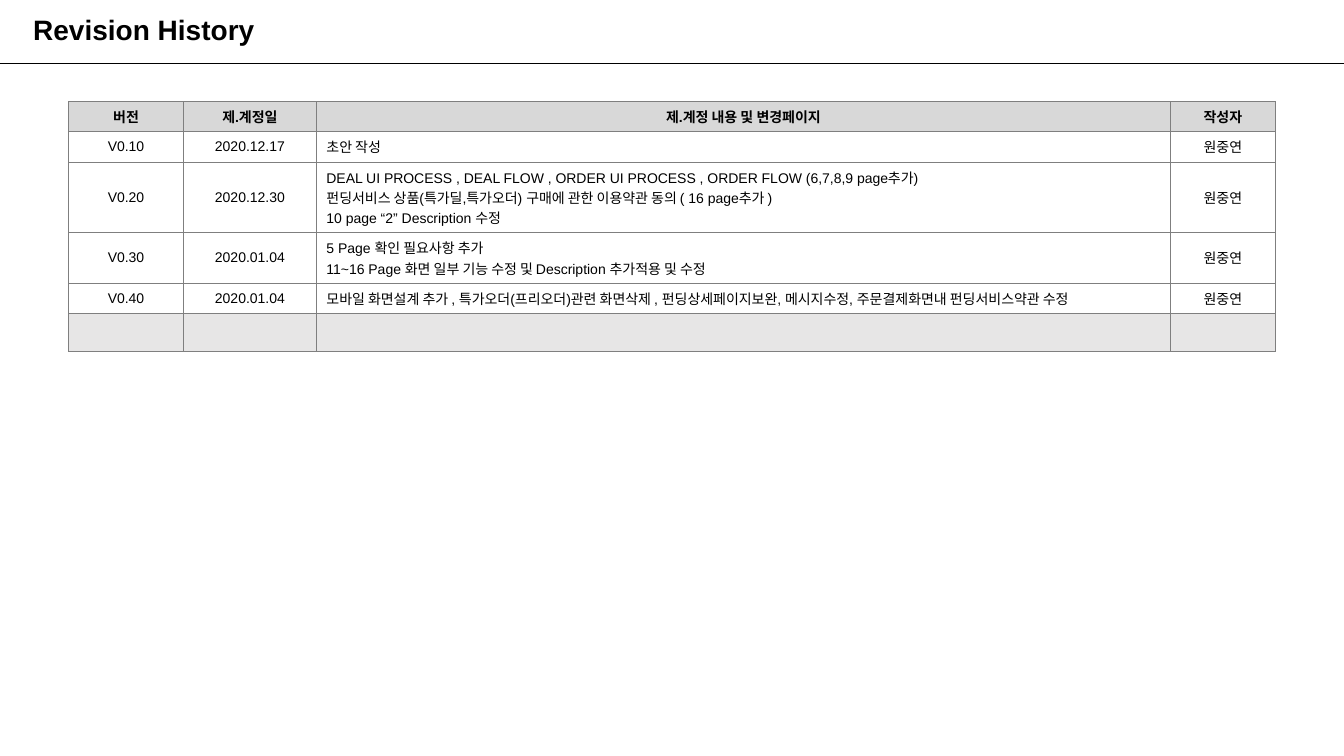
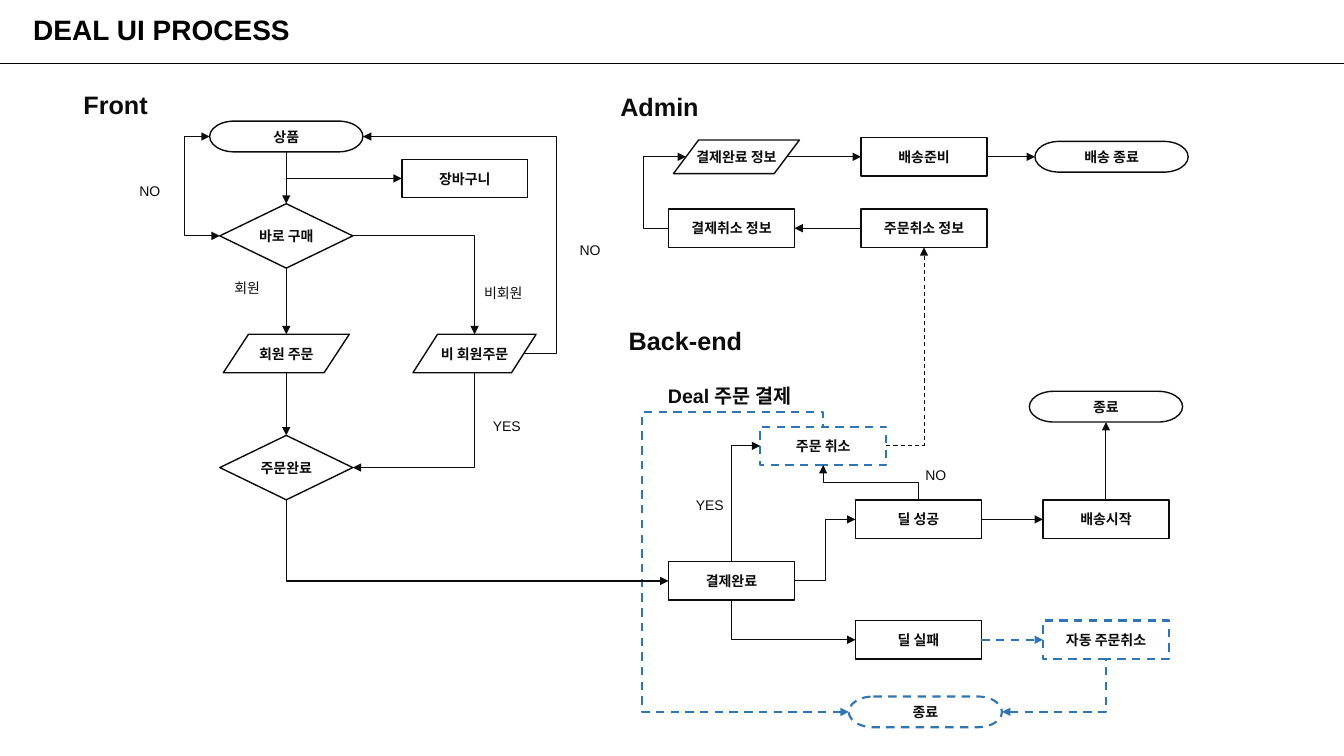
from lxml.etree import SubElement
from pptx import Presentation
from pptx.dml.color import RGBColor
from pptx.enum.dml import MSO_LINE
from pptx.enum.shapes import MSO_CONNECTOR, MSO_SHAPE
from pptx.enum.text import MSO_ANCHOR, PP_ALIGN
from pptx.oxml.ns import qn
from pptx.util import Pt

BLACK = RGBColor(0x00, 0x00, 0x00)
INK = RGBColor(0x0C, 0x0C, 0x0C)
BLUE = RGBColor(0x2E, 0x75, 0xB5)
WHITE = RGBColor(0xFF, 0xFF, 0xFF)
HEAD = RGBColor(0xD8, 0xD8, 0xD8)
FOOT = RGBColor(0xE7, 0xE6, 0xE6)
EDGE = RGBColor(0x7F, 0x7F, 0x7F)
FONT = "Arial"
WIDE, HIGH = 960, 540

# Shape kinds with their usual width and height
RECT = MSO_SHAPE.RECTANGLE, 90, 27.5
PILL = MSO_SHAPE.FLOWCHART_TERMINATOR, 109.5, 22
DIAMOND = MSO_SHAPE.FLOWCHART_DECISION, 95, 46
SLANT = MSO_SHAPE.FLOWCHART_DATA, 90, 27.5

# Connection sides, and the matching site and inward step on a slanted box
TOP, LEFT, BOTTOM, RIGHT = range(4)
SLANTED = {TOP: (1, 0), LEFT: (2, 0.1), BOTTOM: (4, 0), RIGHT: (5, -0.1)}

# Line looks: colour, width, dash
THIN = INK, 0.75, None
DOTTED = INK, 0.75, MSO_LINE.DASH
PLAIN = INK, 1, None
DASHED = BLUE, 1.5, MSO_LINE.DASH

ROWS = [
    ("버전", "제.계정일", "제.계정 내용 및 변경페이지", "작성자"),
    ("V0.10", "2020.12.17", "초안 작성", "원중연"),
    ("V0.20", "2020.12.30",
     "DEAL UI PROCESS , DEAL FLOW , ORDER UI PROCESS , ORDER FLOW (6,7,8,9 page추가)\n"
     "펀딩서비스 상품(특가딜,특가오더) 구매에 관한 이용약관 동의 ( 16 page추가 )\n"
     "10 page “2” Description 수정", "원중연"),
    ("V0.30", "2020.01.04",
     "5 Page 확인 필요사항 추가\n"
     "11~16 Page 화면 일부 기능 수정 및 Description 추가적용 및 수정", "원중연"),
    ("V0.40", "2020.01.04",
     "모바일 화면설계 추가 , 특가오더(프리오더)관련 화면삭제 , 펀딩상세페이지보완, "
     "메시지수정, 주문결제화면내 펀딩서비스약관 수정", "원중연"),
    ("", "", "", ""),
]


def style(para, size, bold=False, color=INK, align=None):
    para.alignment = align
    font = para.font
    font.name, font.size, font.bold = FONT, Pt(size), bold
    font.color.rgb = color


def stroke(line, look):
    color, width, dash = look
    line.color.rgb = color
    line.width = Pt(width)
    if dash:
        line.dash_style = dash


def node(slide, box, kind, text, x, y, look=PLAIN, width=None, height=None):
    """Draw a labelled flow shape centred at x, y within the box."""
    form, wide, high = kind
    wide, high = width or wide, height or high
    shape = slide.shapes.add_shape(
        form, Pt(box[0] + x - wide / 2), Pt(box[1] + y - high / 2), Pt(wide), Pt(high))
    shape.shadow.inherit = False
    shape.fill.background()
    stroke(shape.line, look)
    frame = shape.text_frame
    frame.word_wrap = False
    frame.vertical_anchor = MSO_ANCHOR.MIDDLE
    frame.margin_left = frame.margin_right = frame.margin_top = frame.margin_bottom = 0
    frame.text = text
    style(frame.paragraphs[0], 10, True, align=PP_ALIGN.CENTER)
    return shape


def words(slide, box, text, x, y, width, height, size, bold=False, align=None):
    area = slide.shapes.add_textbox(Pt(box[0] + x), Pt(box[1] + y), Pt(width), Pt(height))
    area.text_frame.word_wrap = True
    area.text_frame.text = text
    style(area.text_frame.paragraphs[0], size, bold, align=align)


def label(slide, box, text, x, y):
    words(slide, box, text, x - 27, y - 10, 54, 20, 10, align=PP_ALIGN.CENTER)


def header(slide, box, text):
    words(slide, box, text, 0, 0, 137, 29, 18, True)


def spot(end):
    """Give the point of an end, which is a point or a (shape, side) pair."""
    if isinstance(end[1], float):
        return Pt(end[0]), Pt(end[1])
    shape, side = end
    return (shape.left + shape.width * (1, 0, 1, 2)[side] // 2,
            shape.top + shape.height * (0, 1, 2, 1)[side] // 2)


def glue(line, end, part):
    if isinstance(end[1], float):
        return
    shape, side = end
    first = part == "begin"
    (line.begin_connect if first else line.end_connect)(shape, side)
    if shape.auto_shape_type == MSO_SHAPE.FLOWCHART_DATA:
        site, step = SLANTED[side]
        tag = "a:stCxn" if first else "a:endCxn"
        line.element.find(".//" + qn(tag)).set("idx", str(site))
        shift = int(shape.width * step)
        if first:
            line.begin_x += shift
        else:
            line.end_x += shift


def bend(line, turns, upright):
    """Shape an elbow; turns holds the x, then the y, of its middle legs."""
    geom = line.element.find(".//" + qn("a:prstGeom"))
    geom.set("prst", f"bentConnector{len(turns) + 2}")
    spans = (line.begin_x, line.end_x), (line.begin_y, line.end_y)
    for num, (turn, (start, stop)) in enumerate(zip(turns, spans), 1):
        part = round((Pt(turn) - start) / (stop - start) * 100000)
        SubElement(geom.find(qn("a:avLst")), qn("a:gd"), name=f"adj{num}", fmla=f"val {part}")
    frame = line.element.find(".//" + qn("a:xfrm"))
    if upright:  # leaves downwards: a quarter turn about the centre
        wide, high = line.width, line.height
        line.left += (wide - high) // 2
        line.top += (high - wide) // 2
        line.width, line.height = high, wide
        frame.set("rot", "5400000")
        frame.set("flipV", "1")
    elif frame.get("flipH") and frame.get("flipV"):  # both flips are a half turn
        del frame.attrib["flipH"], frame.attrib["flipV"]
        frame.set("rot", "10800000")


def join(slide, start, stop, turns=None, heads="tail", look=THIN, upright=False):
    """Connect two ends; turns None is straight, () one corner."""
    kind = MSO_CONNECTOR.STRAIGHT if turns is None else MSO_CONNECTOR.ELBOW
    line = slide.shapes.add_connector(kind, *spot(start), *spot(stop))
    glue(line, start, "begin")
    glue(line, stop, "end")
    if turns is not None:
        bend(line, turns, upright)
    stroke(line.line, look)
    edge = line.element.find(".//" + qn("a:ln"))
    for tip in ("head", "tail"):
        if tip in heads:
            SubElement(edge, qn(f"a:{tip}End"), type="triangle")
    SubElement(line.element.spPr, qn("a:effectLst"))


def base(deck, text):
    """Add a slide with the shared title and the rule below it."""
    slide = deck.slides.add_slide(deck.slide_layouts[5])
    title = slide.shapes.title
    title.left, title.top, title.width, title.height = Pt(16.5), Pt(6.5), Pt(930), Pt(31.5)
    title.text_frame.text = text
    title.text_frame.vertical_anchor = MSO_ANCHOR.MIDDLE
    para = title.text_frame.paragraphs[0]
    para.line_spacing = 0.9
    style(para, 20, True, BLACK, PP_ALIGN.LEFT)
    join(slide, (0, 45.5), (WIDE, 45.5), heads="", look=(BLACK, 0.75, None))
    return slide


def border(cell):
    props = cell._tc.get_or_add_tcPr()
    for place, side in enumerate("LRTB"):
        line = SubElement(props, qn(f"a:ln{side}"), w=str(Pt(0.75)))
        fill = SubElement(line, qn("a:solidFill"))
        SubElement(fill, qn("a:srgbClr"), val=str(EDGE))
        props.insert(place, line)


def history(slide, box):
    """Revision table."""
    wides, highs = (82, 95, 610, 75), (21.5, 21.5, 50, 36, 21.5, 27)
    grid = slide.shapes.add_table(
        len(highs), len(wides), Pt(box[0]), Pt(box[1]), Pt(sum(wides)), Pt(sum(highs))).table
    grid.first_row = grid.horz_banding = False
    for col, wide in zip(grid.columns, wides):
        col.width = Pt(wide)
    last = len(ROWS) - 1
    for r, row in enumerate(ROWS):
        grid.rows[r].height = Pt(highs[r])
        for c, text in enumerate(row):
            cell = grid.cell(r, c)
            cell.vertical_anchor = MSO_ANCHOR.MIDDLE
            cell.fill.solid()
            cell.fill.fore_color.rgb = {0: HEAD, last: FOOT}.get(r, WHITE)
            border(cell)
            cell.text_frame.text = text
            align = PP_ALIGN.LEFT if c == 2 and r else PP_ALIGN.CENTER
            for para in cell.text_frame.paragraphs:
                style(para, 10, r == 0, BLACK, align)


def front(slide, box):
    """Shop side; returns the order-complete step."""
    x, y = box
    header(slide, box, "Front")
    item = node(slide, box, PILL, "상품", 152, 37.5)
    cart = node(slide, box, RECT, "장바구니", 279.5, 67.5)
    buy = node(slide, box, DIAMOND, "바로 구매", 152, 108.5)
    user = node(slide, box, SLANT, "회원 주문", 152, 192.5)
    guest = node(slide, box, SLANT, "비 회원주문", 286.5, 192.5, width=88)
    done = node(slide, box, DIAMOND, "주문완료", 152, 274)
    for text, left, top in (("NO", 54.5, 77), ("회원", 124, 146), ("비회원", 307, 150),
                            ("NO", 369, 119), ("YES", 309.5, 245)):
        label(slide, box, text, left, top)
    for start, stop in ((item, buy), (buy, user), (user, done)):
        join(slide, (start, BOTTOM), (stop, TOP))
    join(slide, (x + 152, y + 67.5), (cart, LEFT))
    join(slide, (buy, LEFT), (item, LEFT), (x + 79.5,), "head tail")
    join(slide, (buy, RIGHT), (guest, TOP), ())
    join(slide, (done, RIGHT), (guest, BOTTOM), (), "head")
    join(slide, (guest, RIGHT), (item, RIGHT), (x + 345,))
    return done


def admin(slide, box):
    """Office side; returns the order-cancel notice."""
    header(slide, box, "Admin")
    paid = node(slide, box, SLANT, "결제완료 정보", 90, 50, height=24)
    ready = node(slide, box, RECT, "배송준비", 224, 50)
    sent = node(slide, box, PILL, "배송 종료", 358, 50)
    refund = node(slide, box, RECT, "결제취소 정보", 86.5, 101)
    cancel = node(slide, box, RECT, "주문취소 정보", 224, 101)
    join(slide, (paid, RIGHT), (ready, LEFT))
    join(slide, (ready, RIGHT), (sent, LEFT))
    join(slide, (cancel, LEFT), (refund, RIGHT))
    join(slide, (paid, LEFT), (refund, LEFT), (box[0] + 23.5,), "head")
    return cancel


def backend(slide, box):
    """Deal payment; returns the payment and cancel steps."""
    x, y = box
    header(slide, box, "Back-end")
    words(slide, box, "Deal 주문 결제", 28, 42, 236, 24, 14, True)
    cancel = node(slide, box, RECT, "주문 취소", 146, 89.5, DASHED)
    paid = node(slide, box, RECT, "결제완료", 80.5, 186)
    won = node(slide, box, RECT, "딜 성공", 214, 142)
    lost = node(slide, box, RECT, "딜 실패", 214, 228)
    ship = node(slide, box, RECT, "배송시작", 348, 142)
    auto = node(slide, box, RECT, "자동 주문취소", 348, 228, DASHED)
    close = node(slide, box, PILL, "종료", 348, 61.5)
    stop = node(slide, box, PILL, "종료", 219, 279.5, DASHED)
    label(slide, box, "YES", 65, 132)
    label(slide, box, "NO", 226.5, 110.5)
    join(slide, (won, RIGHT), (ship, LEFT))
    join(slide, (ship, TOP), (close, BOTTOM))
    join(slide, (lost, RIGHT), (auto, LEFT), look=DASHED)
    join(slide, (won, LEFT), (paid, RIGHT), (x + 147.5,), "head")
    join(slide, (lost, LEFT), (paid, BOTTOM), (), "head")
    join(slide, (cancel, LEFT), (paid, TOP), (), "head")
    join(slide, (cancel, BOTTOM), (won, TOP), (x + 180,), "head", upright=True)
    join(slide, (stop, RIGHT), (auto, BOTTOM), (), "head", DASHED)
    join(slide, (stop, LEFT), (cancel, TOP), (x + 16.5, y + 65.5), "head", DASHED)
    return paid, cancel


def main():
    deck = Presentation()
    deck.slide_width, deck.slide_height = Pt(WIDE), Pt(HIGH)
    history(base(deck, "Revision History"), (49, 72.5))

    flow = base(deck, "DEAL UI PROCESS")
    done = front(flow, (52.5, 60.0))
    notice = admin(flow, (436.0, 62.0))
    paid, cancel = backend(flow, (442.0, 229.0))
    # Links between the regions
    join(flow, (paid, LEFT), (done, BOTTOM), (), "head")
    join(flow, (cancel, RIGHT), (notice, BOTTOM), (), look=DOTTED)
    deck.save("out.pptx")


if __name__ == "__main__":
    main()
